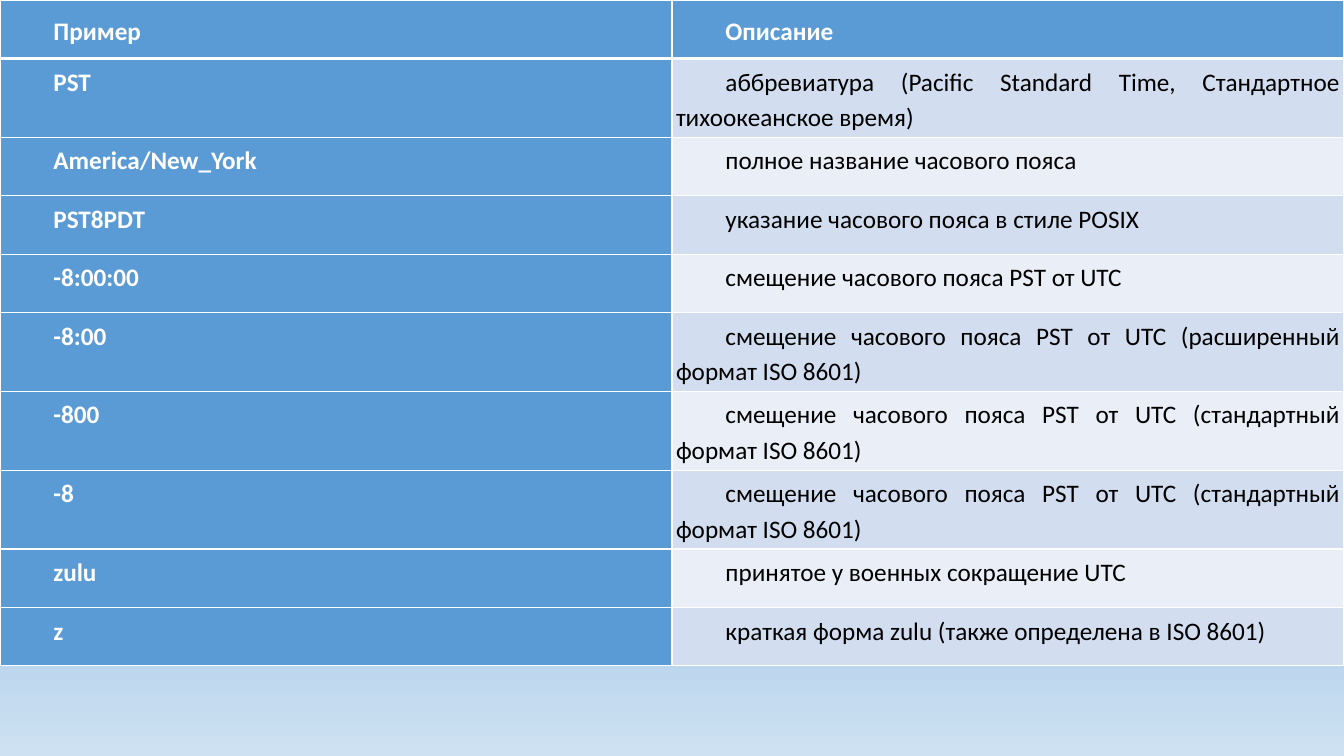
from lxml import etree
from pptx import Presentation
from pptx.dml.color import RGBColor
from pptx.enum.text import MSO_ANCHOR, PP_ALIGN
from pptx.oxml.ns import qn
from pptx.util import Inches, Pt

JUSTIFY = PP_ALIGN.JUSTIFY
MIDDLE, TOP = MSO_ANCHOR.MIDDLE, MSO_ANCHOR.TOP

SLIDE_WIDTH, SLIDE_HEIGHT = Inches(13.33), Inches(7.5)
ROW_HEIGHT = Inches(0.58)
CELL_MARGIN = Inches(0.04)
FIRST_LINE_INDENT = Inches(0.49)
COLORS = {
    "accent": "5B9BD5",
    "odd_band": "D2DEEF",
    "even_band": "EAEFF7",
    "white": "FFFFFF",
    "black": "000000",
}
BACKGROUND_STOPS = [(0, "F7FAFD"), (74, "B5D2EC"), (83, "B5D2EC"), (100, "CEE1F2")]
TIME_ZONES = [
    ("Пример", "Описание"),
    ("PST", "аббревиатура (Pacific Standard Time, Стандартное тихоокеанское время)"),
    ("America/New_York", "полное название часового пояса"),
    ("PST8PDT", "указание часового пояса в стиле POSIX"),
    ("-8:00:00", "смещение часового пояса PST от UTC"),
    ("-8:00", "смещение часового пояса PST от UTC (расширенный формат ISO 8601)"),
    ("-800", "смещение часового пояса PST от UTC (стандартный формат ISO 8601)"),
    ("-8", "смещение часового пояса PST от UTC (стандартный формат ISO 8601)"),
    ("zulu", "принятое у военных сокращение UTC"),
    ("z", "краткая форма zulu (также определена в ISO 8601)"),
]


def add_color(parent, color):
    etree.SubElement(parent, qn("a:srgbClr"), val=color)


def paint_background(page):
    fill = page.background.fill
    fill.gradient()
    fill.gradient_angle = 270
    stop_list = page.background._cSld.find(".//" + qn("a:gsLst"))
    for stop in list(stop_list):
        stop_list.remove(stop)
    for percent, color in BACKGROUND_STOPS:
        stop = etree.SubElement(stop_list, qn("a:gs"), pos=str(percent * 1000))
        add_color(stop, color)


def set_borders(cell, top_width, bottom_width):
    properties = cell._tc.get_or_add_tcPr()
    widths = [("a:lnL", 1), ("a:lnR", 1), ("a:lnT", top_width), ("a:lnB", bottom_width)]
    for position, (tag, width) in enumerate(widths):
        line = etree.Element(qn(tag), w=str(Pt(width)))
        add_color(etree.SubElement(line, qn("a:solidFill")), COLORS["white"])
        properties.insert(position, line)


def fill_cell(cell, text, fill_color, strong):
    cell.fill.solid()
    cell.fill.fore_color.rgb = RGBColor.from_string(fill_color)
    cell.margin_left = cell.margin_right = CELL_MARGIN
    cell.margin_top = cell.margin_bottom = CELL_MARGIN
    cell.text_frame.text = text
    para = cell.text_frame.paragraphs[0]
    para.alignment = JUSTIFY
    para.line_spacing = 1.15
    properties = para._p.get_or_add_pPr()
    properties.set("marL", "0")
    properties.set("indent", str(FIRST_LINE_INDENT))
    font = para.runs[0].font
    font.name, font.size, font.bold = "Calibri", Pt(18), strong
    font.color.rgb = RGBColor.from_string(COLORS["white" if strong else "black"])


def add_time_zone_table(page, left, top, width):
    row_count, column_count = len(TIME_ZONES), len(TIME_ZONES[0])
    frame = page.shapes.add_table(
        row_count, column_count, left, top, width, ROW_HEIGHT * row_count
    )
    table = frame.table
    table.first_col = True
    for row, texts in enumerate(TIME_ZONES):
        table.rows[row].height = ROW_HEIGHT
        band = COLORS["odd_band" if row % 2 else "even_band"]
        for column, text in enumerate(texts):
            cell = table.cell(row, column)
            strong = row == 0 or column == 0
            fill_cell(cell, text, COLORS["accent"] if strong else band, strong)
            cell.vertical_anchor = MIDDLE if row == 0 else TOP
            set_borders(cell, 3 if row == 1 else 1, 3 if row == 0 else 1)


def main():
    deck = Presentation()
    deck.slide_width, deck.slide_height = SLIDE_WIDTH, SLIDE_HEIGHT
    page = deck.slides.add_slide(deck.slide_layouts[6])
    paint_background(page)
    add_time_zone_table(page, 0, 0, SLIDE_WIDTH)
    deck.save("out.pptx")


if __name__ == "__main__":
    main()
